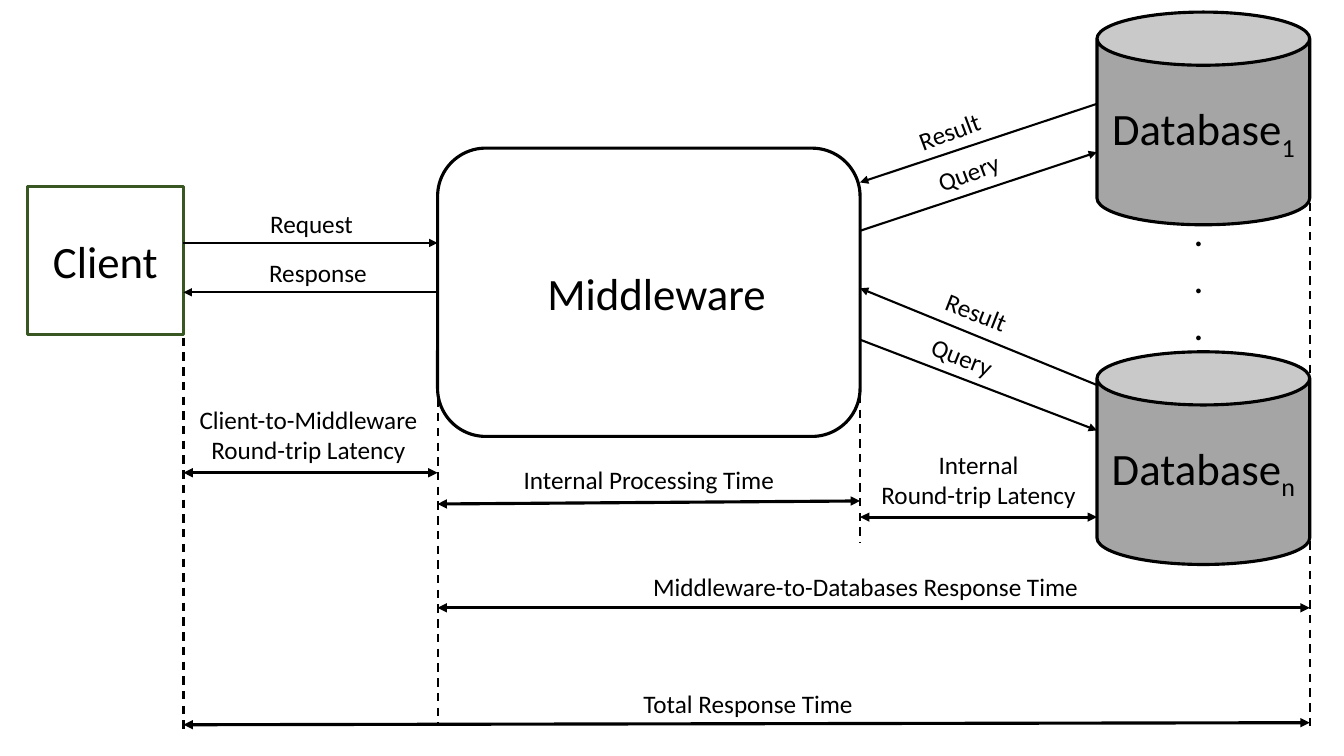
"""Builds the slide on response times between client, middleware and databases."""
from dataclasses import dataclass

import lxml.etree
import pptx
import pptx.dml.color
import pptx.enum.dml
import pptx.enum.shapes
import pptx.enum.text
import pptx.oxml.ns
import pptx.util


@dataclass(frozen=True)
class Theme:
    font: str = "Calibri"
    ink: str = "000000"
    paper: str = "FFFFFF"
    database: str = "A5A5A5"
    client: str = "385723"
    title: int = 32
    dots: int = 28
    label: int = 18
    thin: float = 1.5
    thick: float = 2.25


THEME = Theme()
SLIDE_WIDTH, SLIDE_HEIGHT = 13.33, 7.5
EDGE = {"client": 1.82, "middleware": 4.34, "middleware end": 8.53,
        "database": 10.88, "database end": 12.99}
CLIENT_LEFT, CLIENT_TOP, CLIENT_HEIGHT = 0.27, 1.85, 1.47
MIDDLEWARE_TOP, MIDDLEWARE_HEIGHT = 1.47, 2.86
DATABASE_SIZE = 2.11
DATABASES = [("1", 0.12), ("n", 3.49)]
MESSAGES = [
    ("Request", (2.58, 2.02, 1.42), 0, "client", 2.41, "middleware", 2.41),
    ("Response", (2.57, 2.5, 1.6), 0, "middleware", 2.9, "client", 2.9),
    ("Result", (9, 1.08, 0.94), -20.6, "database", 1.03, "middleware end", 1.81),
    ("Query", (9.19, 1.49, 0.94), -20.6, "middleware end", 2.29, "database", 1.51),
    ("Result", (9.27, 2.92, 0.95), 21.6, "database", 3.82, "middleware end", 2.86),
    ("Query", (9.13, 3.36, 0.94), 21.6, "middleware end", 3.37, "database", 4.27),
]
BOUNDARIES = [("client", 3.35, 7.25), ("middleware", 3.66, 7.19),
              ("middleware end", 2.02, 5.38), ("database end", 2.01, 7.26)]
SPANS = [
    ("Client-to-Middleware\nRound-trip Latency", (1.86, 3.96, 2.4), "client", 4.69, "middleware", 4.69),
    ("Internal Processing Time", (5.08, 4.56, 2.71), "middleware", 5, "middleware end", 4.97),
    ("Internal\nRound-trip Latency", (8.63, 4.41, 2.15), "middleware end", 5.13, "database", 5.13),
    ("Middleware-to-Databases Response Time", (6.33, 5.62, 4.51), "middleware", 6.03, "database end", 6.03),
    ("Total Response Time", (6.28, 6.78, 2.28), "client", 7.19, "database end", 7.17),
]


def inches(*values):
    return [pptx.util.Inches(value) for value in values]


def color(value):
    return pptx.dml.color.RGBColor.from_string(value)


def write(frame, text, size=THEME.label, centered=False, wrap=False, subscript=""):
    frame.word_wrap = wrap
    for index, line in enumerate(text.split("\n")):
        paragraph = frame.add_paragraph() if index else frame.paragraphs[0]
        if centered:
            paragraph.alignment = pptx.enum.text.PP_ALIGN.CENTER
        for part in filter(None, (line, subscript)):
            run = paragraph.add_run()
            run.text = part
            run.font.size = pptx.util.Pt(size)
            run.font.name = THEME.font
            run.font.color.rgb = color(THEME.ink)
            if part == subscript:
                run.font._element.set("baseline", "-25000")


def add_label(slide, text, left, top, width, height=0.4, rotation=0, **text_format):
    box = slide.shapes.add_textbox(*inches(left, top, width, height))
    box.rotation = rotation
    write(box.text_frame, text, **text_format)


def add_block(slide, kind, left, top, width, height, text="", fill=THEME.paper, line=THEME.ink, subscript=""):
    shape = slide.shapes.add_shape(kind, *inches(left, top, width, height))
    shape.shadow.inherit = False
    shape.fill.solid()
    shape.fill.fore_color.rgb = color(fill)
    shape.line.color.rgb = color(line)
    shape.line.width = pptx.util.Pt(THEME.thick)
    if text:
        shape.text_frame.vertical_anchor = pptx.enum.text.MSO_ANCHOR.MIDDLE
        write(shape.text_frame, text, size=THEME.title, centered=True, wrap=True, subscript=subscript)
    return shape


def add_line(slide, start, end, width=THEME.thin, arrows=(), dashed=False):
    connector = slide.shapes.add_connector(
        pptx.enum.shapes.MSO_CONNECTOR.STRAIGHT, *inches(*start, *end))
    connector.line.color.rgb = color(THEME.ink)
    connector.line.width = pptx.util.Pt(width)
    if dashed:
        connector.line.dash_style = pptx.enum.dml.MSO_LINE.DASH
    outline = connector.line._get_or_add_ln()
    for arrow in arrows:
        lxml.etree.SubElement(outline, pptx.oxml.ns.qn(f"a:{arrow}"), type="triangle")
    lxml.etree.SubElement(connector._element.spPr, pptx.oxml.ns.qn("a:effectLst"))
    return connector


def main():
    presentation = pptx.Presentation()
    presentation.slide_width, presentation.slide_height = inches(SLIDE_WIDTH, SLIDE_HEIGHT)
    slide = presentation.slides.add_slide(presentation.slide_layouts[6])
    kinds = pptx.enum.shapes.MSO_SHAPE

    for subscript, top in DATABASES:
        add_block(slide, kinds.CAN, EDGE["database"], top, DATABASE_SIZE, DATABASE_SIZE,
                  "Database", fill=THEME.database, subscript=subscript)
    add_block(slide, kinds.RECTANGLE, CLIENT_LEFT, CLIENT_TOP, EDGE["client"] - CLIENT_LEFT,
              CLIENT_HEIGHT, "Client", line=THEME.client)
    middleware = add_block(slide, kinds.ROUNDED_RECTANGLE, EDGE["middleware"], MIDDLEWARE_TOP,
                           EDGE["middleware end"] - EDGE["middleware"], MIDDLEWARE_HEIGHT)
    add_label(slide, "Middleware", 5.33, 2.59, 2.38, 0.64, size=THEME.title)
    add_label(slide, ".\n.\n.", 11.74, 2.01, 0.4, 1.51, size=THEME.dots, wrap=True)

    for text, place, rotation, start, start_y, end, end_y in MESSAGES:
        arrow = add_line(slide, (EDGE[start], start_y), (EDGE[end], end_y), arrows=["tailEnd"])
        if text == "Response":
            arrow.begin_connect(middleware, 1)
        add_label(slide, text, *place, rotation=rotation, wrap=True)
    for edge, top, bottom in BOUNDARIES:
        add_line(slide, (EDGE[edge], top), (EDGE[edge], bottom), dashed=True)
    for text, place, start, start_y, end, end_y in SPANS:
        add_line(slide, (EDGE[start], start_y), (EDGE[end], end_y),
                 width=THEME.thick, arrows=["headEnd", "tailEnd"])
        add_label(slide, text, *place, height=0.4 + 0.31 * text.count("\n"), centered=True)

    presentation.save("out.pptx")


if __name__ == "__main__":
    main()
